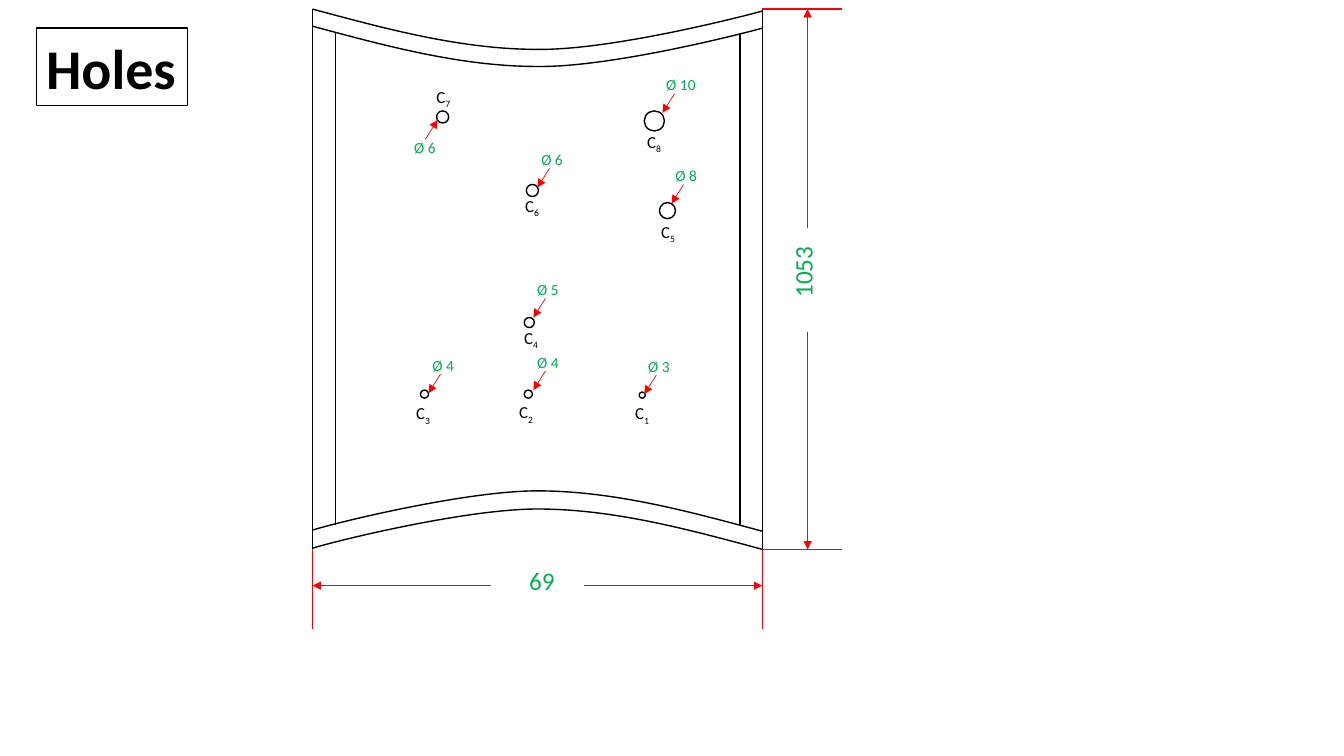
"""Build the panel drawing that locates holes C1 to C8."""
from lxml import etree
from pptx import Presentation
from pptx.dml.color import RGBColor
from pptx.enum.shapes import MSO_CONNECTOR, MSO_SHAPE
from pptx.enum.text import MSO_AUTO_SIZE
from pptx.oxml.ns import qn
from pptx.util import Pt

PX = 9144
STRAIGHT = MSO_CONNECTOR.STRAIGHT
ELLIPSE = MSO_SHAPE.OVAL
FIT_TEXT = MSO_AUTO_SIZE.SHAPE_TO_FIT_TEXT
BLACK, RED, GREEN, WHITE = (
    RGBColor.from_string(value) for value in ("000000", "FF0000", "00B050", "FFFFFF"))

LEFT, RIGHT, TOP, BOTTOM = 310, 756, 9, 545
INNER_LEFT, INNER_RIGHT, INNER_TOP, INNER_BOTTOM = 333, 734, 33, 521
HEIGHT_X, WIDTH_Y, EXTENSION = 801, 581, 79

presentation = Presentation()
presentation.slide_width = 1333 * PX
presentation.slide_height = 750 * PX
slide = presentation.slides.add_slide(presentation.slide_layouts[6])
shapes = slide.shapes


def add_line(start_x, start_y, end_x, end_y, color, width=1, arrow=False):
    connector = shapes.add_connector(
        STRAIGHT, start_x * PX, start_y * PX, end_x * PX, end_y * PX)
    connector.line.color.rgb = color
    connector.line.width = Pt(width)
    if arrow:
        outline = connector.line._get_or_add_ln()
        etree.SubElement(outline, qn("a:tailEnd"), type="triangle")
    etree.SubElement(connector._element.spPr, qn("a:effectLst"))


def add_text(left, top, width, height, text, size, color, subscript="", vertical=False):
    box = shapes.add_textbox(left * PX, top * PX, width * PX, height * PX)
    frame = box.text_frame
    frame.word_wrap = False
    frame.auto_size = FIT_TEXT
    if vertical:
        frame._txBody.bodyPr.set("vert", "vert270")
    paragraph = frame.paragraphs[0]
    paragraph.font.name = "Calibri"
    paragraph.font.size = Pt(size)
    paragraph.font.color.rgb = color
    paragraph.add_run().text = text
    if subscript:
        run = paragraph.add_run()
        run.text = subscript
        run._r.get_or_add_rPr().set("baseline", "-25000")
    return box


for x in (LEFT, RIGHT):
    add_line(x, TOP, x, BOTTOM, BLACK)
for x in (INNER_LEFT, INNER_RIGHT):
    add_line(x, INNER_TOP, x, INNER_BOTTOM, BLACK)

top_curve = [(310, 9), (384, 29), (458, 49), (533, 49), (607, 50), (742, 15), (756, 11)]
bottom_curve = [(756, 545), (682, 525), (608, 505), (533, 505), (459, 505), (324, 539), (310, 544)]
for curve, shift in ((top_curve, 0), (top_curve, 17), (bottom_curve, 0), (bottom_curve, -18)):
    points = [(x, y + shift) for x, y in curve]
    builder = shapes.build_freeform(*points[0], scale=PX)
    builder.add_line_segments(points[1:], close=False)
    edge = builder.convert_to_shape()
    edge.fill.background()
    edge.line.color.rgb = BLACK
    edge.line.width = Pt(1)
    edge.shadow.inherit = False
    segments = list(edge._element.iter(qn("a:lnTo")))
    outline = segments[0].getparent()
    for first in (0, 3):
        bezier = etree.SubElement(outline, qn("a:cubicBezTo"))
        for segment in segments[first:first + 3]:
            bezier.append(segment[0])
            outline.remove(segment)

for y in (TOP, BOTTOM):
    add_line(RIGHT, y, RIGHT + EXTENSION, y, RED)
for x in (LEFT, RIGHT):
    add_line(x, BOTTOM, x, BOTTOM + EXTENSION, RED)
add_line(HEIGHT_X, 329, HEIGHT_X, BOTTOM, RED, arrow=True)
add_line(HEIGHT_X, 226, HEIGHT_X, TOP, RED, arrow=True)
add_line(487, WIDTH_Y, LEFT, WIDTH_Y, RED, arrow=True)
add_line(579, WIDTH_Y, RIGHT, WIDTH_Y, RED, arrow=True)
add_text(776, 244, 50, 61, "1053", 18, GREEN, vertical=True)
width_label = add_text(508, 563, 50, 36, "69", 18, GREEN, vertical=True)
width_label.rotation = 90

# number, diameter, centre, name position, leader start, leader direction
holes = [
    (1, 3, 637, 392, 620, 395, 651, 372, 1),
    (2, 4, 524, 391, 505, 394, 541, 368, 1),
    (3, 4, 421, 391, 403, 395, 437, 371, 1),
    (4, 5, 525, 320, 510, 320, 541, 296, 1),
    (5, 8, 662, 209, 646, 215, 678, 183, 1),
    (6, 6, 528, 189, 511, 189, 545, 167, 1),
    (7, 6, 439, 116, 423, 81, 422, 138, -1),
    (8, 10, 649, 120, 632, 126, 669, 93, 1),
]
for number, diameter, x, y, name_x, name_y, leader_x, leader_y, direction in holes:
    hole = shapes.add_shape(
        ELLIPSE, (x - diameter) * PX, (y - diameter) * PX, 2 * diameter * PX, 2 * diameter * PX)
    hole.fill.background()
    hole.line.color.rgb = BLACK
    hole.line.width = Pt(1)
    hole.shadow.inherit = False
    add_line(leader_x, leader_y, leader_x - 12 * direction, leader_y + 19 * direction,
             RED, 0.5, arrow=True)
    label_x, label_y = (leader_x - 18, leader_y - 23) if direction > 0 else (leader_x - 21, leader_y - 6)
    label_width = 50 if diameter >= 10 else 42
    add_text(label_x, label_y, label_width, 29, f"Ø {diameter}", 11, GREEN)
    add_text(name_x, name_y, 35, 30, "C", 12, BLACK, subscript=str(number))

title = add_text(36, 28, 150, 77, "Holes", 40, BLACK)
title.text_frame.paragraphs[0].font.bold = True
title.fill.solid()
title.fill.fore_color.rgb = WHITE
title.line.color.rgb = BLACK
title.line.width = Pt(1)

presentation.save("out.pptx")
